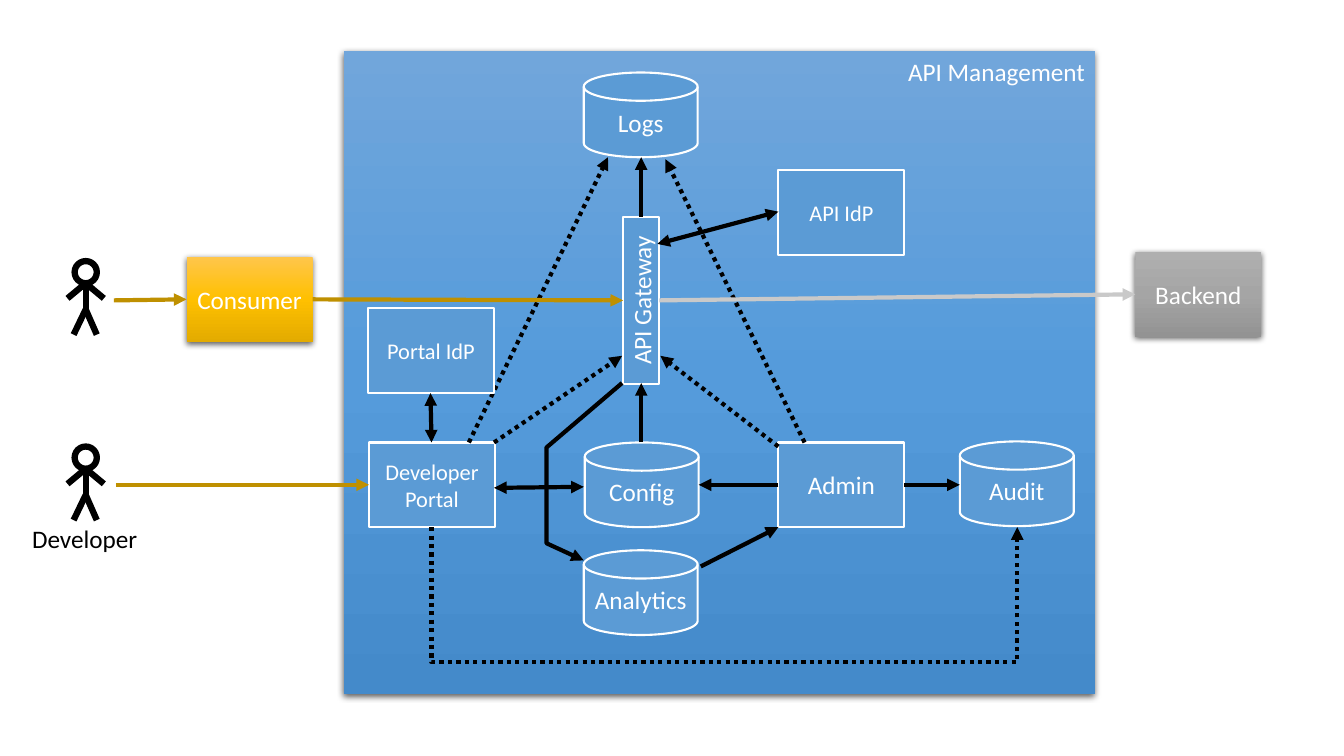
from copy import deepcopy
from dataclasses import dataclass

from lxml import etree
from pptx import Presentation
from pptx import util as u
from pptx.dml.color import RGBColor
from pptx.enum import dml, shapes, text
from pptx.oxml import ns

PX = 9144  # EMU per px, 100 px to the inch
FONT = "Calibri"

WHITE = RGBColor(0xFF, 0xFF, 0xFF)
BLACK = RGBColor(0x00, 0x00, 0x00)
BLUE = RGBColor(0x5B, 0x9B, 0xD5)
GOLD = RGBColor(0xBF, 0x90, 0x00)
SILVER = RGBColor(0xC9, 0xC9, 0xC9)
BLUE_SHADES = (RGBColor(0x71, 0xA6, 0xDB), RGBColor(0x55, 0x9B, 0xDB), RGBColor(0x44, 0x8A, 0xCA))
GREY_SHADES = (RGBColor(0xAF, 0xAF, 0xAF), RGBColor(0xA5, 0xA5, 0xA5), RGBColor(0x93, 0x93, 0x93))
AMBER_SHADES = (RGBColor(0xFF, 0xC6, 0x4B), RGBColor(0xFF, 0xC0, 0x00), RGBColor(0xE3, 0xAB, 0x00))

RECTANGLE = shapes.MSO_SHAPE.RECTANGLE
DISK = shapes.MSO_SHAPE.FLOWCHART_MAGNETIC_DISK


@dataclass(frozen=True)
class Node:
    label: str
    left: int
    top: int
    width: int = 125
    height: int = 84
    kind: int = RECTANGLE
    size: int = 18
    shades: tuple = ()  # a shaded node has a shadow and no outline
    vertical: bool = False


@dataclass(frozen=True)
class Store(Node):
    width: int = 113
    kind: int = DISK


@dataclass(frozen=True)
class Flow:
    start: tuple
    end: tuple
    color: RGBColor = BLACK
    dotted: bool = False
    both_ways: bool = False


@dataclass(frozen=True)
class Route:
    points: tuple
    dotted: bool = False


PANEL = Node("API Management", 341, 51, 745, 638, shades=BLUE_SHADES)
NODES = [
    Node("Developer Portal", 366, 439, size=16),
    Node("API Gateway", 618, 215, 36, 166, vertical=True),
    Node("Admin", 772, 439),
    Store("Logs", 579, 72),
    Store("Config", 580, 439),
    Store("Analytics", 579, 546),
    Store("Audit", 952, 438),
    Node("Backend", 1126, 250, shades=GREY_SHADES),
    Node("Consumer", 185, 255, shades=AMBER_SHADES),
]
FLOWS = [
    Flow((798, 439), (660, 158), dotted=True),
    Flow((636, 215), (636, 156)),
    Flow((465, 439), (603, 156), dotted=True),
    Flow((654, 298), (1126, 292), SILVER),
    Flow((695, 562), (772, 523)),
    Flow((310, 297), (618, 298), GOLD),
    Flow((490, 439), (617, 353), dotted=True),
    Flow((113, 298), (185, 297), GOLD),
    Flow((115, 481), (366, 481), GOLD),
    Flow((636, 439), (636, 380)),
    Flow((772, 481), (693, 481)),
    Flow((772, 443), (655, 353), dotted=True),
    Flow((897, 481), (952, 481)),
    Flow((490, 484), (579, 483), both_ways=True),
]
ROUTES = [
    Route(((428, 523), (428, 657), (1009, 657), (1009, 523)), dotted=True),  # portal to audit
    Route(((617, 380), (542, 444), (542, 539), (579, 556))),  # gateway to analytics
]
IDENTITY_NODES = [
    Node("Portal IdP", 365, 306, size=16),
    Node("API IdP", 772, 169, size=16),
]
IDENTITY_FLOWS = [
    Flow((652, 242), (772, 210), both_ways=True),
    Flow((427, 390), (428, 439), both_ways=True),
]
PERSON_TOPS = (259, 443)
LIMBS = [  # offsets from the centre of the top of the head
    ((0, 22), (0, 51)),
    ((0, 22), (-18, 37)),
    ((0, 22), (18, 37)),
    ((0, 48), (-12, 73)),
    ((0, 48), (11, 73)),
]


def px(*lengths: int) -> list[int]:
    return [length * PX for length in lengths]


def write(shape, label: str, size: int, color: RGBColor, align) -> None:
    shape.text_frame.text = label
    paragraph = shape.text_frame.paragraphs[0]
    paragraph.alignment = align
    font = paragraph.runs[0].font
    font.name, font.size, font.color.rgb = FONT, u.Pt(size), color


def shade(shape, shades: tuple) -> None:
    """Three-stop downward gradient with a soft shadow below."""
    shape.fill.gradient()
    shape.fill.gradient_angle = 270
    properties = shape._element.spPr
    stop_list = properties.find(".//" + ns.qn("a:gsLst"))
    stop_list.append(deepcopy(stop_list[-1]))
    for stop, position, color in zip(shape.fill.gradient_stops, (0, 0.5, 1), shades):
        stop.position, stop.color.rgb = position, color
    effects = properties.find(ns.qn("a:effectLst"))
    shadow = etree.SubElement(effects, ns.qn("a:outerShdw"), blurRad="57150",
                              dist="19050", dir="5400000", algn="ctr", rotWithShape="0")
    black = etree.SubElement(shadow, ns.qn("a:srgbClr"), val="000000")
    etree.SubElement(black, ns.qn("a:alpha"), val="63000")


def draw_node(slide, node: Node):
    shape = slide.shapes.add_shape(node.kind, *px(node.left, node.top, node.width, node.height))
    shape.shadow.inherit = False
    if node.shades:
        shade(shape, node.shades)
        shape.line.fill.background()
    else:
        shape.fill.solid()
        shape.fill.fore_color.rgb = BLUE
        shape.line.color.rgb = WHITE
        shape.line.width = u.Pt(1.5)
    write(shape, node.label, node.size, WHITE, text.PP_ALIGN.CENTER)
    frame = shape.text_frame
    frame.word_wrap = True
    frame.vertical_anchor = text.MSO_ANCHOR.MIDDLE
    if node.vertical:
        frame._txBody.bodyPr.set("vert", "vert270")
    else:
        frame.margin_left = frame.margin_right = 5 * PX
    return shape


def style_line(shape, color: RGBColor = BLACK, width: float = 3, dotted: bool = False,
               ends: tuple = ()) -> None:
    shape.line.color.rgb = color
    shape.line.width = u.Pt(width)
    if dotted:
        shape.line.dash_style = dml.MSO_LINE.ROUND_DOT
    for end in ends:
        etree.SubElement(shape.line._get_or_add_ln(), ns.qn(f"a:{end}"), type="triangle")


def draw_connector(parent, start: tuple, end: tuple):
    connector = parent.shapes.add_connector(shapes.MSO_CONNECTOR.STRAIGHT, *px(*start, *end))
    etree.SubElement(connector._element.spPr, ns.qn("a:effectLst"))
    return connector


def draw_flow(slide, flow: Flow) -> None:
    ends = ("headEnd", "tailEnd") if flow.both_ways else ("tailEnd",)
    connector = draw_connector(slide, flow.start, flow.end)
    style_line(connector, flow.color, dotted=flow.dotted, ends=ends)


def draw_route(slide, route: Route) -> None:
    first, *rest = route.points
    builder = slide.shapes.build_freeform(*first, scale=PX)
    builder.add_line_segments(rest, close=False)
    path_shape = builder.convert_to_shape()
    path_shape.shadow.inherit = False
    path_shape.fill.background()
    style_line(path_shape, dotted=route.dotted, ends=("tailEnd",))


def draw_person(slide, top: int, center: int = 85) -> None:
    group = slide.shapes.add_group_shape()
    head = group.shapes.add_shape(shapes.MSO_SHAPE.OVAL, *px(center - 11, top, 22, 22))
    head.shadow.inherit = False
    head.fill.background()
    style_line(head, width=4.5)
    for limb in LIMBS:
        start, end = ((center + x, top + y) for x, y in limb)
        style_line(draw_connector(group, start, end), width=4.5)


def main() -> None:
    presentation = Presentation()
    presentation.slide_width, presentation.slide_height = px(1333, 750)
    slide = presentation.slides.add_slide(presentation.slide_layouts[6])

    # Platform panel, titled in its top right corner
    panel = draw_node(slide, PANEL)
    panel.text_frame.vertical_anchor = text.MSO_ANCHOR.TOP
    panel.text_frame.margin_right = 10 * PX
    panel.text_frame.paragraphs[0].alignment = text.PP_ALIGN.RIGHT

    # Components and the flows between them, identity providers on top
    for nodes, flows, routes in ((NODES, FLOWS, ROUTES), (IDENTITY_NODES, IDENTITY_FLOWS, ())):
        for node in nodes:
            draw_node(slide, node)
        for flow in flows:
            draw_flow(slide, flow)
        for route in routes:
            draw_route(slide, route)

    # People
    for top in PERSON_TOPS:
        draw_person(slide, top)
    caption = slide.shapes.add_textbox(*px(22, 514, 126, 40))
    caption.text_frame.word_wrap = False
    write(caption, "Developer", 18, BLACK, text.PP_ALIGN.LEFT)

    presentation.save("out.pptx")


if __name__ == "__main__":
    main()
